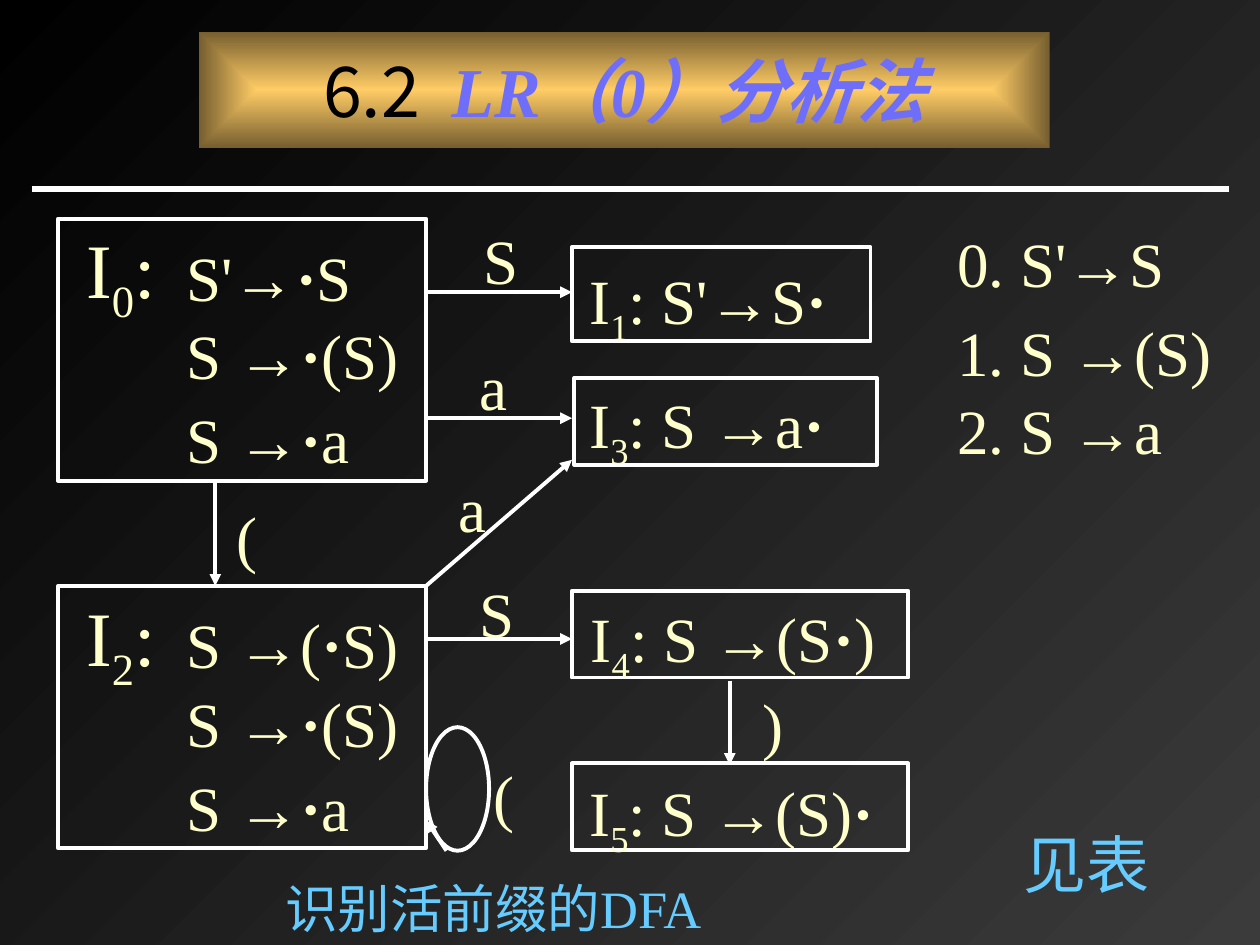
"""Build the LR(0) slide with the DFA that recognises viable prefixes."""
from lxml import etree
from pptx import Presentation
from pptx import util as u
from pptx.dml.color import RGBColor
from pptx.enum import shapes, text
from pptx.oxml import ns

BLACK = RGBColor(0x00, 0x00, 0x00)
CHARCOAL = RGBColor(0x3B, 0x3B, 0x3B)
GOLD = RGBColor(0xFF, 0xCC, 0x66)
BRONZE = RGBColor(0x76, 0x5E, 0x2F)
VIOLET = RGBColor(0x6E, 0x6E, 0xF8)
SKY = RGBColor(0x66, 0xCC, 0xFF)
CREAM = RGBColor(0xFF, 0xFF, 0xCC)
WHITE = RGBColor(0xFF, 0xFF, 0xFF)
SERIF = "Times New Roman"
SANS = "Noto Sans CJK SC"
LEFT, CENTER = text.PP_ALIGN.LEFT, text.PP_ALIGN.CENTER

presentation = Presentation()
presentation.slide_width, presentation.slide_height = u.Cm(25.4), u.Cm(19.05)
slide = presentation.slides.add_slide(presentation.slide_layouts[6])

background = slide.background.fill
background.gradient()
background.gradient_angle = 315
for stop, color in zip(background.gradient_stops, (BLACK, CHARCOAL)):
    stop.color.rgb = color


def add_run(paragraph, words, size, color, font=SERIF):
    run = paragraph.add_run()
    run.text = words
    run.font.size = u.Pt(size)
    run.font.color.rgb = color
    run.font.name = font
    properties = run.font._element
    etree.SubElement(properties, ns.qn("a:ea")).set("typeface", SANS)
    if words == "·":
        run.font.bold = True
    if words.isdigit():
        properties.set("baseline", "-25000")
    return run


def add_text(left, top, width, height, pieces, size=36, color=CREAM, align=LEFT, inset=0.28):
    box = slide.shapes.add_textbox(u.Cm(left), u.Cm(top), u.Cm(width), u.Cm(height))
    frame = box.text_frame
    frame.word_wrap = True
    frame.margin_top = u.Cm(inset)
    paragraph = frame.paragraphs[0]
    paragraph.alignment = align
    for piece in pieces:
        add_run(paragraph, piece, size, color)


title = slide.shapes.add_shape(
    shapes.MSO_SHAPE.RECTANGLE, u.Cm(4.01), u.Cm(0.64), u.Cm(17.15), u.Cm(2.34))
title.shadow.inherit = False
title.line.fill.background()
title.fill.gradient()
for stop, color in zip(title.fill.gradient_stops, (GOLD, BRONZE)):
    stop.color.rgb = color
gradient = title._element.spPr.find(ns.qn("a:gradFill"))
gradient.remove(gradient.find(ns.qn("a:lin")))
center_path = etree.SubElement(gradient, ns.qn("a:path"))
center_path.set("path", "rect")
focus = etree.SubElement(center_path, ns.qn("a:fillToRect"))
for side in "ltrb":
    focus.set(side, "50000")
title.text_frame.vertical_anchor = text.MSO_ANCHOR.MIDDLE
heading = title.text_frame.paragraphs[0]
heading.alignment = CENTER
add_run(heading, "6.2  ", 40, BLACK, SANS)
topic = add_run(heading, "LR（0）分析法", 40, VIOLET)
topic.font.bold = topic.font.italic = True

add_text(4.65, 17.53, 10.59, 1.52, ["识别活前缀的DFA"], 30, SKY, CENTER, 0.13)
add_text(19.89, 16.51, 4.01, 1.78, ["见表"], 36, SKY, CENTER, 0.13)

outlines = [
    (shapes.MSO_SHAPE.RECTANGLE, 1.17, 4.41, 7.42, 5.28),
    (shapes.MSO_SHAPE.RECTANGLE, 1.17, 11.82, 7.42, 5.28),
    (shapes.MSO_SHAPE.RECTANGLE, 11.53, 4.98, 6.02, 1.9),
    (shapes.MSO_SHAPE.RECTANGLE, 11.58, 7.62, 6.1, 1.75),
    (shapes.MSO_SHAPE.RECTANGLE, 11.53, 11.91, 6.78, 1.75),
    (shapes.MSO_SHAPE.RECTANGLE, 11.53, 15.39, 6.78, 1.75),
    (shapes.MSO_SHAPE.OVAL, 8.59, 14.66, 1.27, 2.49),
]
for kind, left, top, width, height in outlines:
    shape = slide.shapes.add_shape(kind, u.Cm(left), u.Cm(top), u.Cm(width), u.Cm(height))
    shape.shadow.inherit = False
    shape.fill.background()
    shape.line.color.rgb = WHITE
    shape.line.width = u.Pt(2.25)

large_states = [
    (4.19, "0", [["S'→", "·", "S"], ["S →", "·", "(S)"], ["S →", "·", "a"]]),
    (11.6, "2", [["S →(", "·", "S)"], ["S →", "·", "(S)"], ["S →", "·", "a"]]),
]
for top, number, items in large_states:
    add_text(1.17, top, 2.54, 2.39, ["I", number, ":"], 44, CREAM, CENTER)
    for offset, item in zip((0.33, 1.91, 3.61), items):
        add_text(3.51, top + offset, 5.08, 1.78, item)

small_states = [
    (11.63, 5, ["I", "1", ": S'→S", "·"]),
    (11.63, 7.49, ["I", "3", ": S →a", "·"]),
    (11.66, 11.81, ["I", "4", ": S →(S", "·", ")"]),
    (11.63, 15.32, ["I", "5", ": S →(S)", "·"]),
]
for left, top, pieces in small_states:
    add_text(left, top, 6.99, 2.01, pieces)

lines = [
    (0.64, 3.81, 24.77, 3.81, 3, False),
    (8.59, 5.89, 11.53, 5.89, 2.25, True),
    (8.59, 8.43, 11.53, 8.43, 2.25, True),
    (4.34, 9.7, 4.34, 11.81, 2.25, True),
    (9, 17.15, 8.59, 16.54, 2.25, True),
    (8.59, 11.81, 11.53, 9.27, 2.25, True),
    (8.59, 12.88, 11.53, 12.88, 2.25, True),
    (14.71, 13.72, 14.71, 15.42, 2.25, True),
]
for start_x, start_y, end_x, end_y, weight, has_arrow in lines:
    connector = slide.shapes.add_connector(
        shapes.MSO_CONNECTOR.STRAIGHT,
        u.Cm(start_x), u.Cm(start_y), u.Cm(end_x), u.Cm(end_y))
    connector.line.color.rgb = WHITE
    connector.line.width = u.Pt(weight)
    if has_arrow:
        etree.SubElement(connector.line._get_or_add_ln(), ns.qn("a:tailEnd")).set("type", "triangle")
    etree.SubElement(connector._element.spPr, ns.qn("a:effectLst"))

transitions = [
    (9.42, 4.19, 1.37, "S"),
    (9.22, 6.73, 1.47, "a"),
    (4.34, 9.78, 1.27, "("),
    (9.63, 14.99, 1.07, "("),
    (8.79, 9.19, 1.47, "a"),
    (15.04, 13.54, 1.07, ")"),
    (9.42, 11.3, 1.07, "S"),
]
for left, top, width, symbol in transitions:
    add_text(left, top, width, 1.78, [symbol], align=CENTER)

for top, production in ((4.24, "0. S'→S"), (6.05, "1. S →(S)"), (7.62, "2. S →a")):
    add_text(19.05, top, 6.15, 1.78, [production])

presentation.save("out.pptx")
